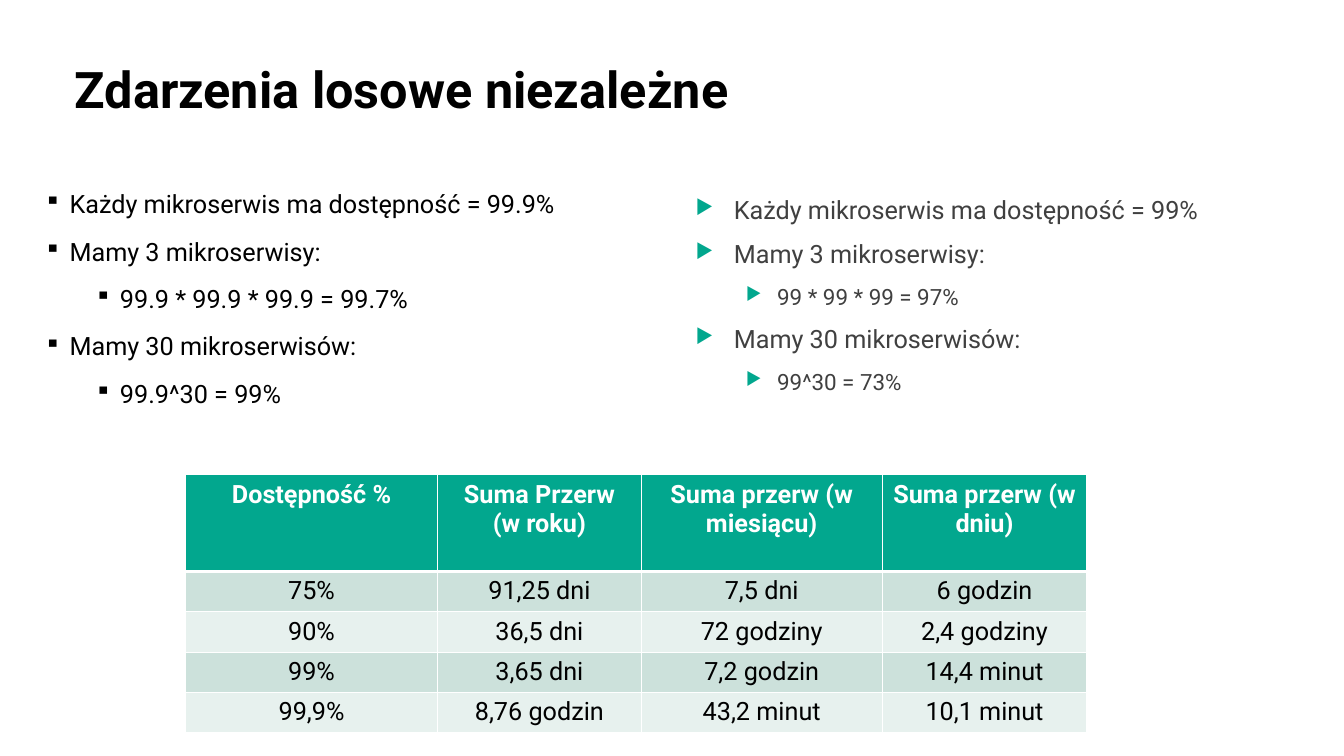
from lxml.etree import SubElement
from pptx import Presentation
from pptx.dml.color import RGBColor
from pptx.enum.text import MSO_ANCHOR, PP_ALIGN
from pptx.oxml import parse_xml
from pptx.oxml.ns import nsdecls, qn
from pptx.util import Inches, Pt

FONT = "Roboto"
COLORS = {"black": "000000", "gray": "404040", "white": "FFFFFF",
          "green": "02A78E", "band_dark": "CCE1DB", "band_light": "E7F1EE"}

TITLE = "Zdarzenia losowe niezależne"

# Each bullet is (level, text); indents are (left margin, hanging) per level.
BULLET_LISTS = [
    {
        "box": (0.44, 1.76, 5.32, 4.24), "side_inset": 0,
        "color": "black", "sizes": (18, 18),
        "symbol": "▪", "symbol_color": "black", "symbol_percent": 90,
        "indents": ((0.25, 0.25), (0.75, 0.25)),
        "line_spacing": 1.2, "before": 4, "after": 4,
        "items": [
            (0, "Każdy mikroserwis ma dostępność = 99.9%"),
            (0, "Mamy 3 mikroserwisy:"),
            (1, "99.9 * 99.9 * 99.9 = 99.7%"),
            (0, "Mamy 30 mikroserwisów:"),
            (1, "99.9^30 = 99%"),
        ],
    },
    {
        "box": (6.8, 1.88, 5.32, 4.24), "side_inset": 0.1,
        "color": "gray", "sizes": (18, 16),
        "symbol": "▶", "symbol_color": "green", "symbol_percent": 80,
        "indents": ((0.38, 0.38), (0.81, 0.31)),
        "line_spacing": 1.0, "before": 10, "after": 0,
        "items": [
            (0, "Każdy mikroserwis ma dostępność = 99%"),
            (0, "Mamy 3 mikroserwisy:"),
            (1, "99 * 99 * 99 = 97%"),
            (0, "Mamy 30 mikroserwisów:"),
            (1, "99^30 = 73%"),
        ],
    },
]

TABLE_LEFT, TABLE_TOP = 1.84, 4.71
COLUMN_WIDTHS = [2.5, 2.02, 2.39, 2.03]
HEADER_HEIGHT, ROW_HEIGHT = 0.96, 0.39
TABLE_ROWS = [
    ("Dostępność %", "Suma Przerw (w roku)", "Suma przerw (w miesiącu)", "Suma przerw (w dniu)"),
    ("75%", "91,25 dni", "7,5 dni", "6 godzin"),
    ("90%", "36,5 dni", "72 godziny", "2,4 godziny"),
    ("99%", "3,65 dni", "7,2 godzin", "14,4 minut"),
    ("99,9%", "8,76 godzin", "43,2 minut", "10,1 minut"),
]


def rgb(name):
    return RGBColor.from_string(COLORS[name])


def add_run(paragraph, text, size, color, bold=False):
    run = paragraph.add_run()
    run.text = text
    run.font.name = FONT
    run.font.size = Pt(size)
    run.font.bold = bold
    run.font.color.rgb = rgb(color)


def add_text_frame(slide, box, side_inset):
    text_frame = slide.shapes.add_textbox(*map(Inches, box)).text_frame
    text_frame.word_wrap = True
    text_frame.margin_left = text_frame.margin_right = Inches(side_inset)
    return text_frame


def add_title(slide):
    text_frame = add_text_frame(slide, (0.74, 0, 11.84, 1.23), 0)
    text_frame.vertical_anchor = MSO_ANCHOR.BOTTOM
    add_run(text_frame.paragraphs[0], TITLE, 36, "black", bold=True)


def set_bullet(paragraph, content, level):
    margin, hanging = content["indents"][level]
    properties = paragraph._p.get_or_add_pPr()
    properties.set("marL", str(Inches(margin)))
    properties.set("indent", str(-Inches(hanging)))
    color = SubElement(properties, qn("a:buClr"))
    SubElement(color, qn("a:srgbClr"), val=COLORS[content["symbol_color"]])
    SubElement(properties, qn("a:buSzPct"), val=str(content["symbol_percent"] * 1000))
    SubElement(properties, qn("a:buChar"), char=content["symbol"])


def add_bullet_list(slide, content):
    text_frame = add_text_frame(slide, content["box"], content["side_inset"])
    for index, (level, text) in enumerate(content["items"]):
        paragraph = text_frame.add_paragraph() if index else text_frame.paragraphs[0]
        set_bullet(paragraph, content, level)
        paragraph.level = level
        paragraph.line_spacing = content["line_spacing"]
        paragraph.space_before = Pt(content["before"] if index else 0)
        paragraph.space_after = Pt(content["after"])
        add_run(paragraph, text, content["sizes"][level], content["color"])


def set_borders(cell, top, bottom):
    """Draw white cell borders; top and bottom are widths in points."""
    widths = {"lnL": 1, "lnR": 1, "lnT": top, "lnB": bottom}
    properties = cell._tc.get_or_add_tcPr()
    for position, (side, width) in enumerate(widths.items()):
        properties.insert(position, parse_xml(
            f'<a:{side} {nsdecls("a")} w="{Pt(width)}"><a:solidFill>'
            f'<a:srgbClr val="{COLORS["white"]}"/></a:solidFill></a:{side}>'))


def add_availability_table(slide):
    heights = [HEADER_HEIGHT] + [ROW_HEIGHT] * (len(TABLE_ROWS) - 1)
    frame = slide.shapes.add_table(
        len(heights), len(COLUMN_WIDTHS), Inches(TABLE_LEFT), Inches(TABLE_TOP),
        Inches(sum(COLUMN_WIDTHS)), Inches(sum(heights)))
    table = frame.table
    for column, width in zip(table.columns, COLUMN_WIDTHS):
        column.width = Inches(width)
    for row_index, (row, height) in enumerate(zip(table.rows, heights)):
        row.height = Inches(height)
        header = row_index == 0
        band = "band_dark" if row_index % 2 else "band_light"
        for cell, text in zip(row.cells, TABLE_ROWS[row_index]):
            cell.fill.solid()
            cell.fill.fore_color.rgb = rgb("green" if header else band)
            set_borders(cell, top=3 if row_index == 1 else 1, bottom=3 if header else 1)
            paragraph = cell.text_frame.paragraphs[0]
            paragraph.alignment = PP_ALIGN.CENTER
            add_run(paragraph, text, 18, "white" if header else "black", bold=header)


def main():
    presentation = Presentation()
    presentation.slide_width = Inches(13.33)
    presentation.slide_height = Inches(7.5)
    slide = presentation.slides.add_slide(presentation.slide_layouts[6])
    add_title(slide)
    for content in BULLET_LISTS:
        add_bullet_list(slide, content)
    add_availability_table(slide)
    presentation.save("out.pptx")


if __name__ == "__main__":
    main()
